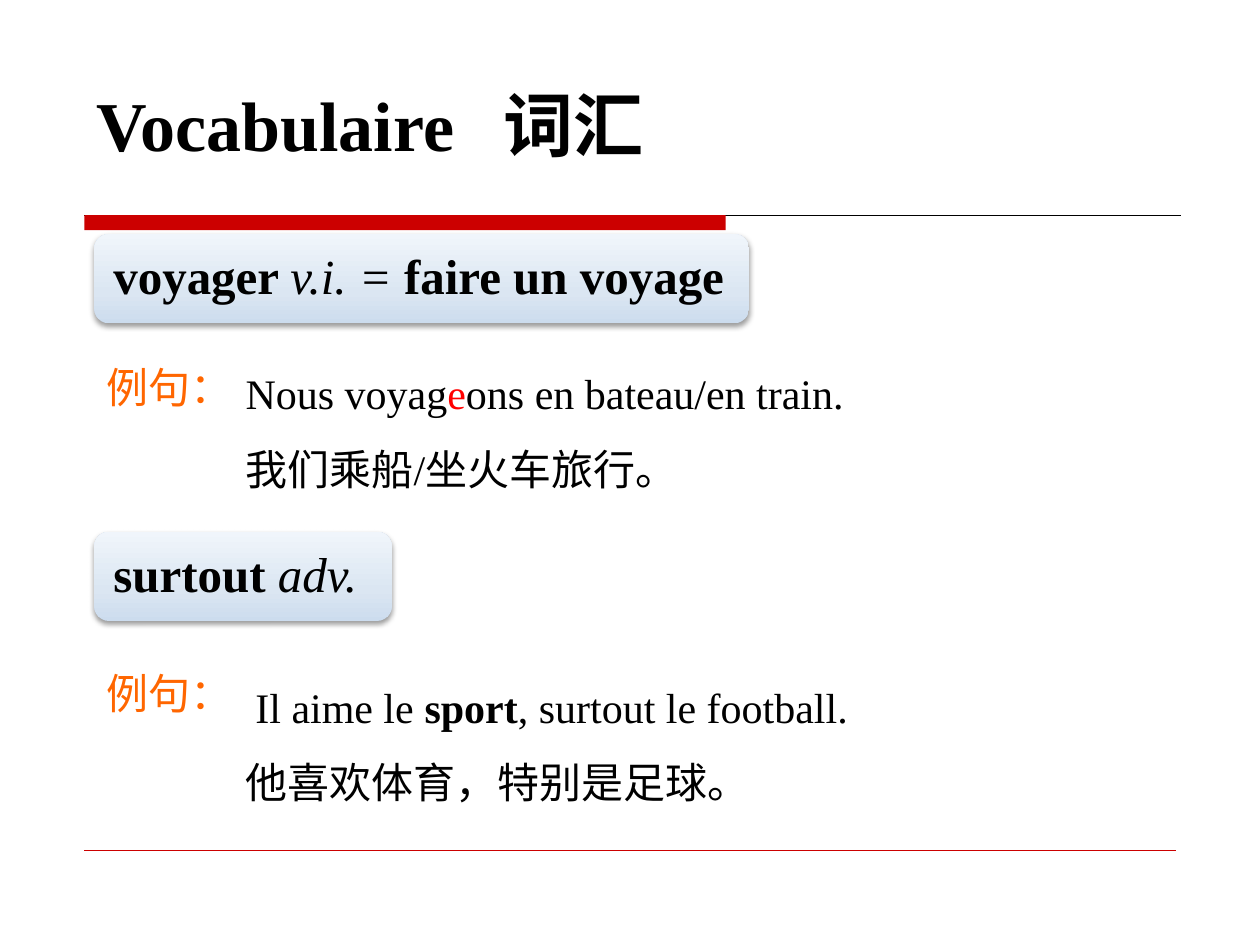
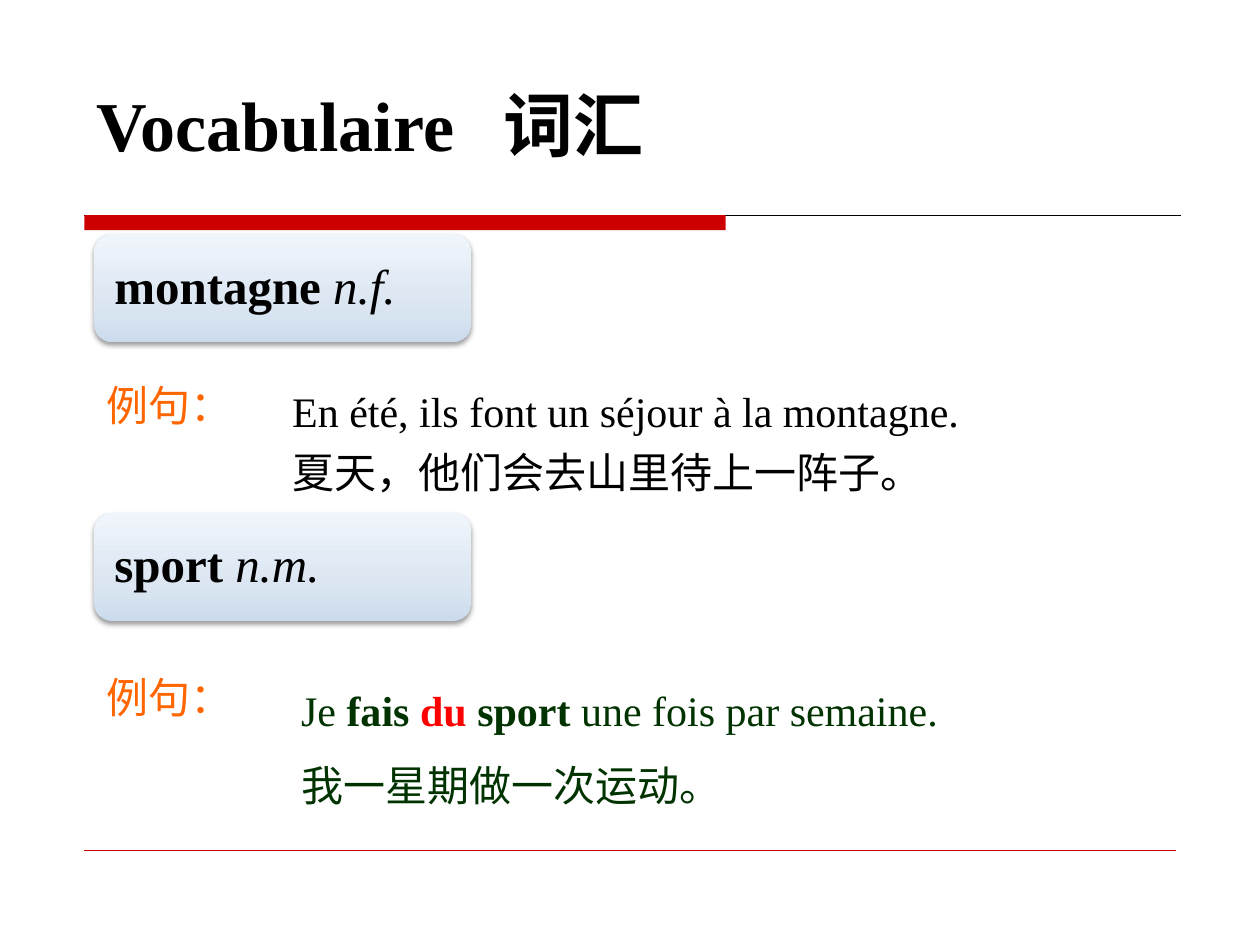
import copy

import pptx
import pptx.dml.color
import pptx.enum.shapes
import pptx.enum.text
import pptx.oxml
import pptx.oxml.ns
import pptx.util
from pptx.util import Cm, Pt

RGBColor = pptx.dml.color.RGBColor
BLACK = RGBColor(0x00, 0x00, 0x00)
CRIMSON = RGBColor(0xCC, 0x00, 0x00)
RED = RGBColor(0xFF, 0x00, 0x00)
ORANGE = RGBColor(0xFF, 0x66, 0x00)
GREEN = RGBColor(0x00, 0x33, 0x00)
CARD_STOPS = [
    (0, RGBColor(0xCC, 0xDC, 0xEE)),
    (0.35, RGBColor(0xDB, 0xE6, 0xF2)),
    (1, RGBColor(0xF0, 0xF5, 0xFB)),
]
LATIN = "Times New Roman"
CHINESE = "Noto Sans CJK SC"

# Content: a run is (text, style); lengths are in centimetres
TITLE = "Vocabulaire\t词汇"
LABEL = "例句："
BOLD = {"bold": True}
ITALIC = {"italic": True}
SLIDES = [
    [
        {
            "word": [("voyager ", BOLD), ("v.i. = ", ITALIC), ("faire un voyage", BOLD)],
            "card": (4.72, 13.2, 1.8),
            "label_top": 7.16,
            "example": [
                [("Nous voyag", {}), ("e", {"color": RED}), ("ons en bateau/en train.", {})],
                [("我们乘船/坐火车旅行。", {})],
            ],
            "example_at": (4.7, 6.78),
        },
        {
            "word": [("surtout ", BOLD), ("adv.", ITALIC)],
            "card": (10.72, 6, 1.8),
            "label_top": 13.34,
            "example": [
                [("Il aime le ", {}), ("sport", BOLD), (", surtout le football.", {})],
                [("他喜欢体育，特别是足球。", {})],
            ],
            "example_at": (4.7, 13.1),
            "first_indent": 0.2,
        },
    ],
    [
        {
            "word": [("montagne ", BOLD), ("n.f.", ITALIC)],
            "card": (4.72, 7.6, 2.18),
            "label_top": 7.52,
            "example": [
                [("En été, ils font un séjour à la montagne.", {})],
                [("夏天，他们会去山里待上一阵子。", {})],
            ],
            "example_at": (5.64, 7.42),
            "line_spacing": Pt(35),
        },
        {
            "word": [("sport ", BOLD), ("n.m.", ITALIC)],
            "card": (10.34, 7.6, 2.18),
            "label_top": 13.41,
            "example": [
                [("Je ", {}), ("fais ", BOLD), ("du", {"bold": True, "color": RED}),
                 (" sport", BOLD), (" une fois par semaine.", {})],
                [("我一星期做一次运动。", {})],
            ],
            "example_at": (5.82, 13.16),
            "color": GREEN,
        },
    ],
]

# Shared layout
RULE_LEFT = 1.7
CARD_LEFT = 1.9
TEXT_RIGHT = 24.8


def add_element(parent, tag, **attributes):
    element = pptx.oxml.parse_xml(f"<{tag} {pptx.oxml.ns.nsdecls('a')}/>")
    for name, value in attributes.items():
        element.set(name, str(value))
    parent.append(element)
    return element


def format_run(run, size, color, bold=False, italic=False, font=LATIN):
    run.font.size = Pt(size)
    run.font.name = font
    run.font.bold = bold
    run.font.italic = italic
    run.font.color.rgb = color
    add_element(run.font._element, "a:ea", typeface=CHINESE)


def fill_paragraph(paragraph, runs, size, color=BLACK):
    for text, style in runs:
        run = paragraph.add_run()
        run.text = text
        format_run(run, size, **{"color": color, **style})


def add_text_box(slide, left, top, width, height):
    text_frame = slide.shapes.add_textbox(Cm(left), Cm(top), Cm(width), Cm(height)).text_frame
    text_frame.word_wrap = True
    return text_frame


def add_rule(slide, y, right, color, weight):
    rule = slide.shapes.add_connector(
        pptx.enum.shapes.MSO_CONNECTOR.STRAIGHT, Cm(RULE_LEFT), Cm(y), Cm(right), Cm(y))
    rule.line.color.rgb = color
    rule.line.width = Pt(weight)
    add_element(rule._element.spPr, "a:effectLst")


def add_frame(slide):
    # Top band and rules
    add_rule(slide, 4.34, 23.8, BLACK, 0.75)
    band = slide.shapes.add_shape(
        pptx.enum.shapes.MSO_SHAPE.RECTANGLE, Cm(RULE_LEFT), Cm(4.34), Cm(12.93), Cm(0.3))
    band.shadow.inherit = False
    band.fill.solid()
    band.fill.fore_color.rgb = CRIMSON
    band.line.fill.background()
    add_rule(slide, 17.15, 23.7, CRIMSON, 0.25)

    # Title, with a tab stop before the Chinese word
    paragraph = add_text_box(slide, RULE_LEFT, 1.52, 19.8, 1.96).paragraphs[0]
    tabs = add_element(paragraph._p.get_or_add_pPr(), "a:tabLst")
    add_element(tabs, "a:tab", pos=Cm(8.2), algn="l")
    paragraph.text = TITLE
    for run in paragraph.runs:
        format_run(run, 40, BLACK, bold=True)


def add_card(slide, top, width, height, word):
    card = slide.shapes.add_shape(
        pptx.enum.shapes.MSO_SHAPE.ROUNDED_RECTANGLE,
        Cm(CARD_LEFT), Cm(top), Cm(width), Cm(height))
    card.line.fill.background()

    # Gradient from bottom to top
    card.fill.gradient()
    card.fill.gradient_angle = 90
    first_stop = card.fill.gradient_stops[0]._gs
    first_stop.addnext(copy.deepcopy(first_stop))
    for stop, (position, color) in zip(card.fill.gradient_stops, CARD_STOPS):
        stop.position = position
        stop.color.rgb = color

    # Soft shadow below
    card.shadow.inherit = False
    effects = card._element.spPr.find(pptx.oxml.ns.qn("a:effectLst"))
    shadow = add_element(effects, "a:outerShdw", blurRad=Pt(3.1), dist=Pt(1.6),
                         dir=5400000, rotWithShape=0)
    shadow_color = add_element(shadow, "a:srgbClr", val=BLACK)
    add_element(shadow_color, "a:alpha", val=38000)

    text_frame = card.text_frame
    text_frame.word_wrap = True
    text_frame.vertical_anchor = pptx.enum.text.MSO_ANCHOR.MIDDLE
    text_frame.margin_left = text_frame.margin_top = text_frame.margin_bottom = Cm(0.3)
    text_frame.margin_right = 0
    paragraph = text_frame.paragraphs[0]
    paragraph.alignment = pptx.enum.text.PP_ALIGN.LEFT
    paragraph.line_spacing = 0.9
    fill_paragraph(paragraph, word, 28)


def add_entry(slide, entry):
    add_card(slide, *entry["card"], entry["word"])

    # Label of the example
    label = add_text_box(slide, CARD_LEFT, entry["label_top"], 4, 1.28).paragraphs[0]
    fill_paragraph(label, [(LABEL, {"font": CHINESE})], 24, ORANGE)

    # Example sentence and its translation
    left, top = entry["example_at"]
    text_frame = add_text_box(slide, left, top, TEXT_RIGHT - left, 3.2)
    for index, runs in enumerate(entry["example"]):
        paragraph = text_frame.add_paragraph() if index else text_frame.paragraphs[0]
        paragraph.line_spacing = entry.get("line_spacing", 1.5)
        if index == 0 and "first_indent" in entry:
            paragraph._p.get_or_add_pPr().set("indent", str(Cm(entry["first_indent"])))
        fill_paragraph(paragraph, runs, 24, entry.get("color", BLACK))


def main():
    presentation = pptx.Presentation()
    presentation.slide_width = Cm(25.4)
    presentation.slide_height = Cm(19.05)
    for entries in SLIDES:
        slide = presentation.slides.add_slide(presentation.slide_layouts[6])
        add_frame(slide)
        for entry in entries:
            add_entry(slide, entry)
    presentation.save("out.pptx")


if __name__ == "__main__":
    main()
